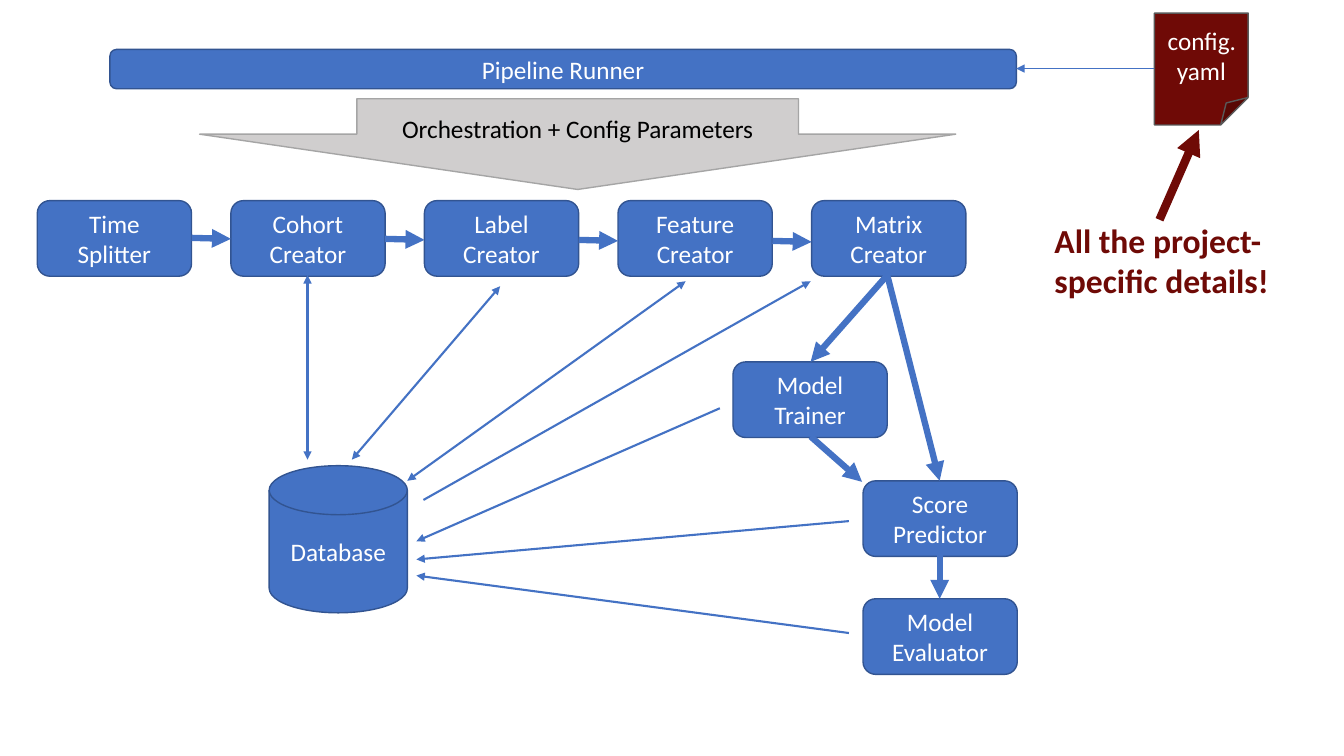
"""Build the machine learning pipeline architecture slide."""
from lxml.etree import SubElement
from pptx import Presentation
from pptx.dml.color import RGBColor
from pptx.enum.shapes import MSO_CONNECTOR, MSO_SHAPE
from pptx.enum.text import MSO_ANCHOR, PP_ALIGN
from pptx.oxml.ns import qn
from pptx.util import Inches, Pt

COLORS = {
    "blue": "4472C4", "blue_edge": "325491", "red": "6F0A06", "red_edge": "595959",
    "gray": "D0CECE", "gray_edge": "A5A5A5", "white": "FFFFFF", "black": "000000",
}
BOX_WIDTH, BOX_HEIGHT = 1.53, 0.75
STEP_LEFT, STEP_TOP, STEP_PITCH = 0.37, 1.99, 1.92

presentation = Presentation()
presentation.slide_width = Inches(13.33)
presentation.slide_height = Inches(7.5)
slide = presentation.slides.add_slide(presentation.slide_layouts[6])


def add_block(kind, text, left, top, width, height, fill="blue", ink="white", guides=None):
    shape = slide.shapes.add_shape(kind, Inches(left), Inches(top), Inches(width), Inches(height))
    shape.shadow.inherit = False
    if guides:
        guide_list = shape._element.spPr.find(qn("a:prstGeom")).find(qn("a:avLst"))
        for guide in list(guide_list):
            guide_list.remove(guide)
        for name, value in guides.items():
            SubElement(guide_list, qn("a:gd"), name=name, fmla=f"val {value}")
    shape.fill.solid()
    shape.fill.fore_color.rgb = RGBColor.from_string(COLORS[fill])
    shape.line.color.rgb = RGBColor.from_string(COLORS[fill + "_edge"])
    shape.line.width = Pt(1)
    shape.text_frame.text = text
    shape.text_frame.word_wrap = True
    shape.text_frame.vertical_anchor = MSO_ANCHOR.MIDDLE
    paragraph = shape.text_frame.paragraphs[0]
    paragraph.alignment = PP_ALIGN.CENTER
    font = paragraph.runs[0].font
    font.name, font.size = "Calibri", Pt(18)
    font.color.rgb = RGBColor.from_string(COLORS[ink])


def add_arrow(start, end, width, color="blue", both_ends=False):
    points = [Inches(value) for value in (*start, *end)]
    connector = slide.shapes.add_connector(MSO_CONNECTOR.STRAIGHT, *points)
    connector.line.color.rgb = RGBColor.from_string(COLORS[color])
    connector.line.width = Pt(width)
    line = connector.line._get_or_add_ln()
    if both_ends:
        SubElement(line, qn("a:headEnd"), type="triangle")
    SubElement(line, qn("a:tailEnd"), type="triangle")
    SubElement(connector._element.spPr, qn("a:effectLst"))


step_names = ["Time Splitter", "Cohort Creator", "Label Creator", "Feature Creator", "Matrix Creator"]
boxes = [(name, STEP_LEFT + index * STEP_PITCH, STEP_TOP) for index, name in enumerate(step_names)]
boxes += [("Model Trainer", 7.27, 3.59), ("Score Predictor", 8.56, 4.77), ("Model Evaluator", 8.56, 5.94)]
for name, left, top in boxes:
    add_block(MSO_SHAPE.FLOWCHART_ALTERNATE_PROCESS, name, left, top, BOX_WIDTH, BOX_HEIGHT)

add_block(MSO_SHAPE.FLOWCHART_MAGNETIC_DISK, "Database", 2.67, 4.62, 1.37, 1.46)
add_block(MSO_SHAPE.FLOWCHART_ALTERNATE_PROCESS, "Pipeline Runner", 1.09, 0.49, 8.99, 0.39)
add_block(MSO_SHAPE.FOLDED_CORNER, "config.yaml", 11.45, 0.13, 0.93, 1.11, "red",
          guides={"adj": 29300})
add_block(MSO_SHAPE.DOWN_ARROW, "Orchestration + Config Parameters", 1.98, 0.98, 7.5, 0.9,
          "gray", "black", {"adj1": 58400, "adj2": 60900})

for index in range(len(step_names) - 1):
    box_right = STEP_LEFT + BOX_WIDTH + index * STEP_PITCH
    next_left = STEP_LEFT + (index + 1) * STEP_PITCH
    height = 2.36 + index * 0.01
    add_arrow((box_right, height), (next_left, height + 0.01), 4.5)

model_flows = [
    ((8.8, 2.73), (8.04, 3.59)),
    ((8.8, 2.73), (9.32, 4.77)),
    ((8.04, 4.33), (8.55, 4.78)),
    ((9.32, 5.51), (9.32, 5.94)),
]
for start, end in model_flows:
    add_arrow(start, end, 4.5)

database_flows = [
    ((3.05, 2.73), (3.05, 4.56), True),
    ((4.96, 2.84), (3.49, 4.56), True),
    ((6.8, 2.79), (4.04, 4.77), True),
    ((4.2, 4.96), (8.04, 2.79), False),
    ((7.14, 4.05), (4.13, 5.37), False),
    ((8.42, 5.17), (4.13, 5.55), False),
    ((8.42, 6.28), (4.13, 5.71), False),
]
for start, end, both_ends in database_flows:
    add_arrow(start, end, 1.5, both_ends=both_ends)

add_arrow((11.45, 0.68), (10.08, 0.68), 0.5)
add_arrow((11.5, 2.18), (11.89, 1.29), 6, "red")

note = slide.shapes.add_textbox(Inches(10.36), Inches(2.13), Inches(2.35), Inches(0.91))
note.text_frame.word_wrap = False
note.text_frame.text = "All the project-\nspecific details!"
for paragraph in note.text_frame.paragraphs:
    font = paragraph.runs[0].font
    font.name, font.size, font.bold = "Calibri", Pt(24), True
    font.color.rgb = RGBColor.from_string(COLORS["red"])

presentation.save("out.pptx")
